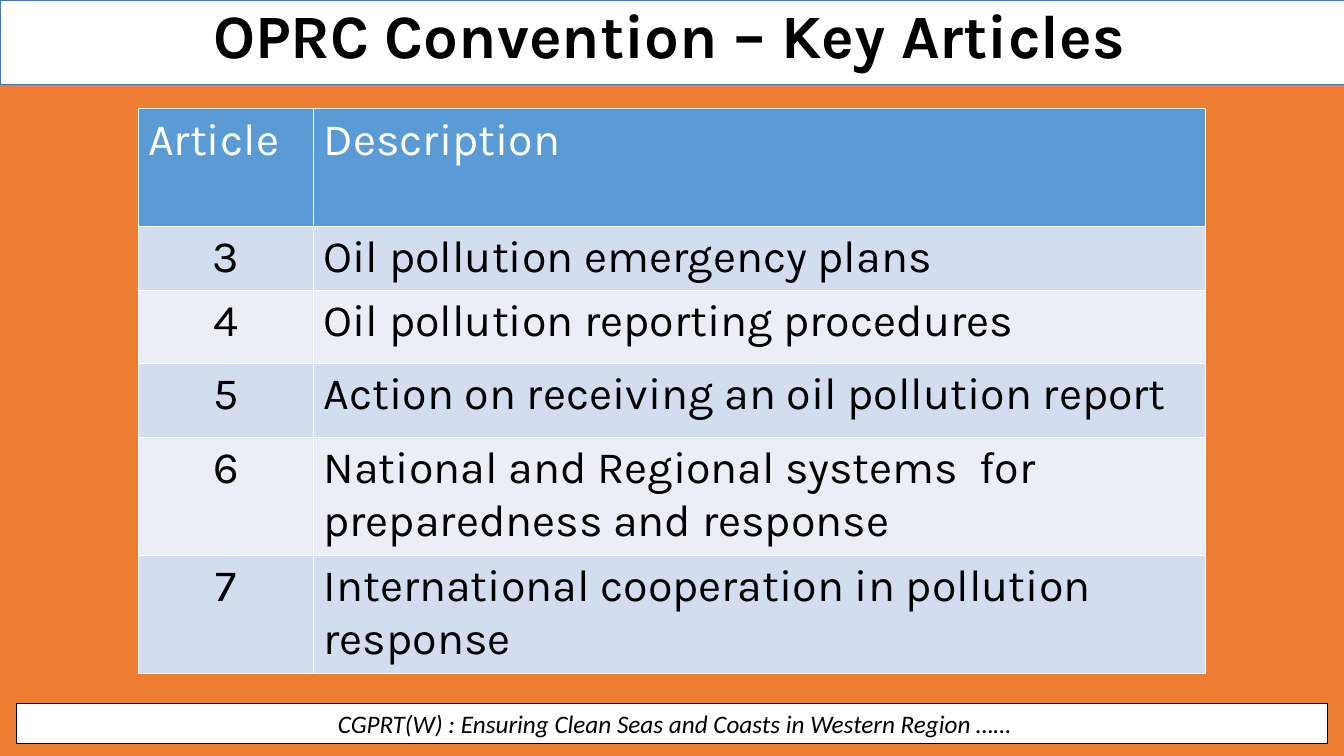
from dataclasses import dataclass

from lxml import etree
from pptx import Presentation
from pptx.dml.color import RGBColor
from pptx.enum.shapes import MSO_SHAPE
from pptx.enum.text import MSO_ANCHOR, PP_ALIGN
from pptx.oxml.ns import qn
from pptx.util import Inches, Pt

RECTANGLE = MSO_SHAPE.RECTANGLE
CENTER, LEFT = PP_ALIGN.CENTER, PP_ALIGN.LEFT
TOP, MIDDLE = MSO_ANCHOR.TOP, MSO_ANCHOR.MIDDLE


@dataclass(frozen=True)
class Theme:
    background: str = "ED7D31"
    white: str = "FFFFFF"
    black: str = "000000"
    banner_line: str = "4472C4"
    header: str = "5B9BD5"
    bands: tuple = ("D2DEEF", "EAEFF7")
    main_font: str = "Karla"
    footer_font: str = "Calibri"
    title_size: int = 44
    table_size: int = 32
    footer_size: int = 18


THEME = Theme()

ARTICLES = [
    ("Article", "Description"),
    ("3", "Oil pollution emergency plans"),
    ("4", "Oil pollution reporting procedures"),
    ("5", "Action on receiving an oil pollution report"),
    ("6", "National and Regional systems  for preparedness and response"),
    ("7", "International cooperation in pollution response"),
]
COLUMN_WIDTHS = (1.74, 8.85)
ROW_HEIGHTS = (1.17, 0.63, 0.72, 0.74, 1.17, 1.17)


def color(value):
    return RGBColor.from_string(value)


def write(frame, text, font, size, ink, align, bold=False, italic=False):
    """Fill a text frame with one formatted paragraph."""
    frame.text = text
    frame.word_wrap = True
    para = frame.paragraphs[0]
    para.alignment = align
    for span in para.runs:
        span.font.name = font
        span.font.size = Pt(size)
        span.font.color.rgb = color(ink)
        span.font.bold = bold
        span.font.italic = italic
    return para


def add_panel(page, left, top, width, height, line, line_width):
    """Add a white outlined rectangle."""
    panel = page.shapes.add_shape(
        RECTANGLE, Inches(left), Inches(top), Inches(width), Inches(height))
    panel.shadow.inherit = False
    panel.fill.solid()
    panel.fill.fore_color.rgb = color(THEME.white)
    panel.line.color.rgb = color(line)
    panel.line.width = Pt(line_width)
    return panel


def add_title(page, text):
    box = page.shapes.add_textbox(Inches(0.58), 0, Inches(12.12), Inches(0.75))
    box.text_frame.vertical_anchor = TOP
    para = write(box.text_frame, text, THEME.main_font, THEME.title_size,
                 THEME.black, CENTER, bold=True)
    para.line_spacing = 0.9


def add_borders(cell):
    """Draw a thin white line on every side of a table cell."""
    properties = cell._tc.get_or_add_tcPr()
    for side in ("lnL", "lnR", "lnT", "lnB"):
        line = etree.SubElement(properties, qn(f"a:{side}"), w=str(Pt(1)))
        fill = etree.SubElement(line, qn("a:solidFill"))
        etree.SubElement(fill, qn("a:srgbClr"), val=THEME.white)


def add_articles_table(page, left, top):
    table = page.shapes.add_table(
        len(ARTICLES), len(COLUMN_WIDTHS), Inches(left), Inches(top),
        Inches(sum(COLUMN_WIDTHS)), Inches(sum(ROW_HEIGHTS))).table
    for column, width in zip(table.columns, COLUMN_WIDTHS):
        column.width = Inches(width)
    for row, height in zip(table.rows, ROW_HEIGHTS):
        row.height = Inches(height)

    for row_index, texts in enumerate(ARTICLES):
        is_header = row_index == 0
        fill = THEME.header if is_header else THEME.bands[(row_index - 1) % 2]
        ink = THEME.white if is_header else THEME.black
        for column_index, text in enumerate(texts):
            cell = table.cell(row_index, column_index)
            add_borders(cell)
            cell.fill.solid()
            cell.fill.fore_color.rgb = color(fill)
            is_number = column_index == 0 and not is_header
            write(cell.text_frame, text, THEME.main_font, THEME.table_size,
                  ink, CENTER if is_number else LEFT)


def main():
    deck = Presentation()
    deck.slide_width, deck.slide_height = Inches(13.33), Inches(7.5)
    page = deck.slides.add_slide(deck.slide_layouts[6])
    page.background.fill.solid()
    page.background.fill.fore_color.rgb = color(THEME.background)

    # Footer
    footer = add_panel(page, 0.16, 6.98, 13.01, 0.4, THEME.black, 0.75)
    footer.text_frame.vertical_anchor = MIDDLE
    write(footer.text_frame,
          " CGPRT(W) : Ensuring Clean Seas and Coasts in Western Region ……",
          THEME.footer_font, THEME.footer_size, THEME.black, CENTER, italic=True)

    # Title banner
    add_panel(page, 0, 0, 13.33, 0.84, THEME.banner_line, 0.5)
    add_title(page, "OPRC Convention – Key Articles")

    # Articles
    add_articles_table(page, 1.37, 1.08)

    deck.save("out.pptx")


if __name__ == "__main__":
    main()
